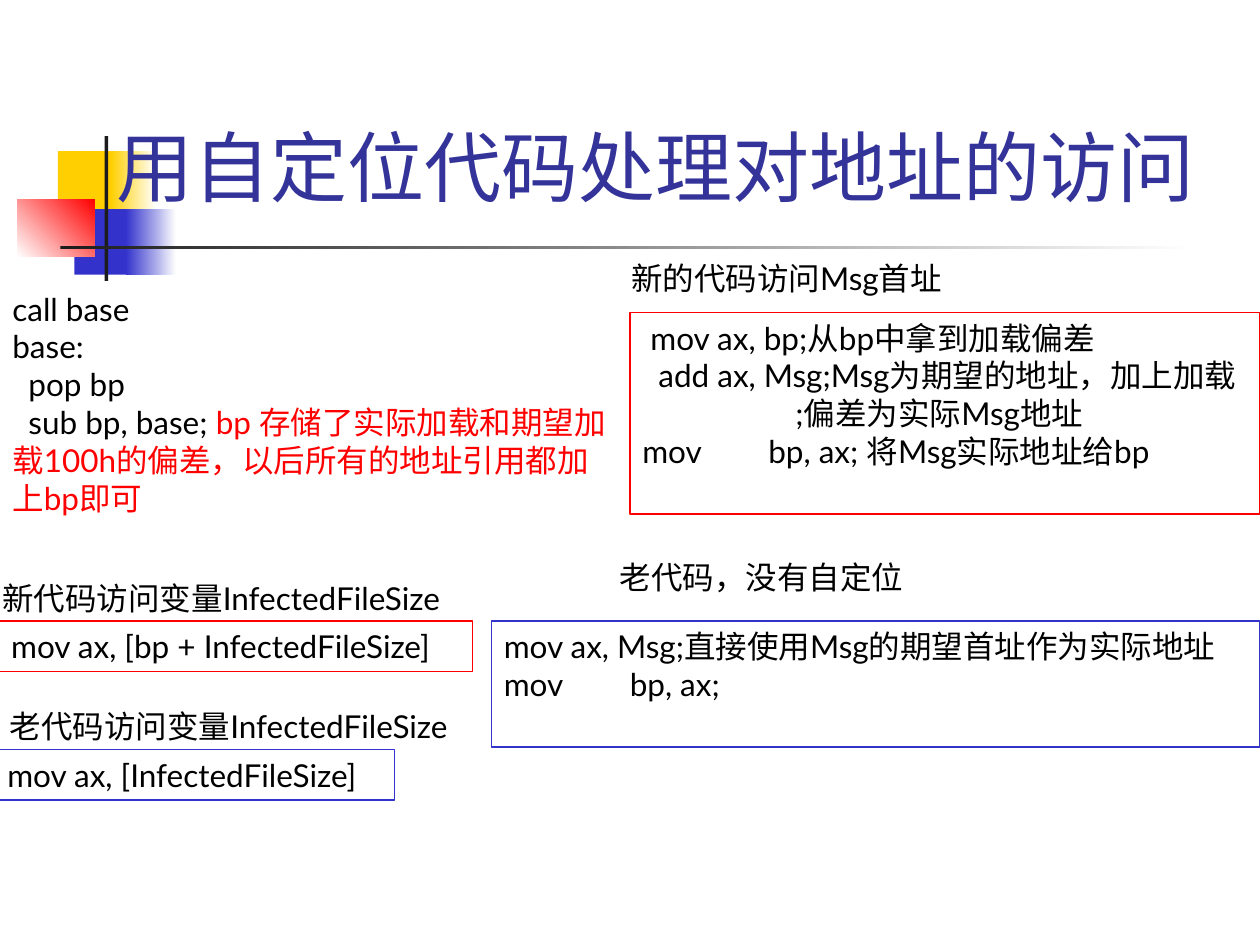
"""Build a slide on address access with self-locating code."""
import pptx
import pptx.util
import pptx.dml.color
import pptx.enum.shapes
import pptx.enum.text
from lxml import etree

FONT = "Lato"
BLACK, WHITE, RED, BLUE = "000000", "FFFFFF", "FF0000", "3333CC"
GOLD, DARK, NAVY = "FFCF01", "1C1C1C", "333399"


def paint(color, code):
    """Set a colour format from a hex string."""
    color.rgb = pptx.dml.color.RGBColor.from_string(code)


def place(spot):
    """Turn left, top, width and height into lengths."""
    return [pptx.util.Inches(part) for part in spot]


def add_rect(slide, spot):
    """Add a plain rectangle with no fill, line or shadow."""
    kind = pptx.enum.shapes.MSO_SHAPE.RECTANGLE
    rect = slide.shapes.add_shape(kind, *place(spot))
    rect.shadow.inherit = False
    rect.fill.background()
    rect.line.fill.background()
    return rect


def add_block(slide, spot, start, end=None, angle=0):
    """Add a block in one colour or in a blend of two."""
    fill = add_rect(slide, spot).fill
    if end is None:
        fill.solid()
        paint(fill.fore_color, start)
        return
    fill.gradient()
    fill.gradient_angle = angle
    for stop, code in zip(fill.gradient_stops, (start, end)):
        paint(stop.color, code)


def add_tabs(para):
    """Give a paragraph tab stops one inch apart."""
    props = para._p.get_or_add_pPr()
    space = "{http://schemas.openxmlformats.org/drawingml/2006/main}"
    tabs = etree.SubElement(props, space + "tabLst")
    for inch in range(1, 8):
        etree.SubElement(tabs, space + "tab", algn="l",
                         pos=str(pptx.util.Inches(inch)))


def write(shape, lines, wrap=True, size=18, anchor="TOP"):
    """Write lines, each a list of text and colour pairs."""
    frame = shape.text_frame
    frame.word_wrap = wrap
    fit = pptx.enum.text.MSO_AUTO_SIZE
    frame.auto_size = fit.NONE if wrap else fit.SHAPE_TO_FIT_TEXT
    frame.vertical_anchor = pptx.enum.text.MSO_ANCHOR[anchor]
    for rank, line in enumerate(lines):
        para = frame.add_paragraph() if rank else frame.paragraphs[0]
        add_tabs(para)
        para.alignment = pptx.enum.text.PP_ALIGN.LEFT
        for text, code in line:
            run = para.add_run()
            run.text = text
            run.font.name = FONT
            run.font.size = pptx.util.Pt(size)
            paint(run.font.color, code)


def add_text(slide, spot, lines, **style):
    """Add a text box."""
    write(slide.shapes.add_textbox(*place(spot)), lines, **style)


def add_label(slide, left, top, width, text):
    """Add a one-line label that does not wrap."""
    add_text(slide, (left, top, width, 0.4), [[(text, BLACK)]], wrap=False)


def add_code(slide, spot, edge, lines, wrap=True):
    """Add a framed box of code lines."""
    rect = add_rect(slide, spot)
    paint(rect.line.color, edge)
    rect.line.width = pptx.util.Pt(0.75)
    write(rect, [[(line, BLACK)] for line in lines], wrap=wrap)


def add_motif(slide):
    """Add the coloured blocks and bars beside the title."""
    add_block(slide, (0.46, 1.2, 0.48, 0.52), GOLD)
    add_block(slide, (0.88, 1.2, 0.36, 0.52), GOLD, WHITE)
    add_block(slide, (0.59, 1.66, 0.46, 0.52), BLUE)
    add_block(slide, (1, 1.66, 0.4, 0.52), BLUE, WHITE)
    add_block(slide, (0.14, 1.58, 0.61, 0.46), WHITE, RED, 45)
    add_block(slide, (0.83, 1.08, 0.03, 1.15), DARK)
    add_block(slide, (0.48, 1.95, 9, 0.03), DARK, WHITE)


def main():
    """Build and save the slide."""
    deck = pptx.Presentation()
    deck.slide_width, deck.slide_height = place((10, 7.5))
    slide = deck.slides.add_slide(deck.slide_layouts[6])
    add_motif(slide)
    add_text(slide, (0.83, 0.13, 8.95, 1.6),
             [[("用自定位代码处理对地址的访问", NAVY)]], size=44, anchor="BOTTOM")
    add_text(slide, (0, 2.25, 5, 1.9), [
        [("call base", BLACK)],
        [("base:", BLACK)],
        [("  pop bp", BLACK)],
        [("  sub bp, base; ", BLACK),
         ("bp 存储了实际加载和期望加载100h的偏差，以后所有的地址引用都加上bp即可", RED)],
    ])
    add_code(slide, (5, 2.48, 5, 1.6), RED, [
        " mov ax, bp;从bp中拿到加载偏差",
        "  add ax, Msg;Msg为期望的地址，加上加载",
        "                   ;偏差为实际Msg地址",
        "mov\tbp, ax; 将Msg实际地址给bp",
    ])
    add_label(slide, 4.91, 2.01, 2.82, "新的代码访问Msg首址")
    add_code(slide, (3.9, 4.93, 6.1, 1), BLUE, [
        "mov ax, Msg;直接使用Msg的期望首址作为实际地址",
        "mov\tbp, ax;",
    ])
    add_label(slide, 4.82, 4.38, 2.45, "老代码，没有自定位")
    add_code(slide, (-0.01, 4.93, 3.76, 0.4), RED,
             ["mov ax, [bp + InfectedFileSize]"], wrap=False)
    add_label(slide, -0.08, 4.55, 3.84, "新代码访问变量InfectedFileSize")
    add_code(slide, (-0.04, 5.95, 3.17, 0.4), BLUE,
             ["mov ax, [InfectedFileSize]"], wrap=False)
    add_label(slide, -0.02, 5.56, 3.84, "老代码访问变量InfectedFileSize")
    deck.save("out.pptx")


if __name__ == "__main__":
    main()
